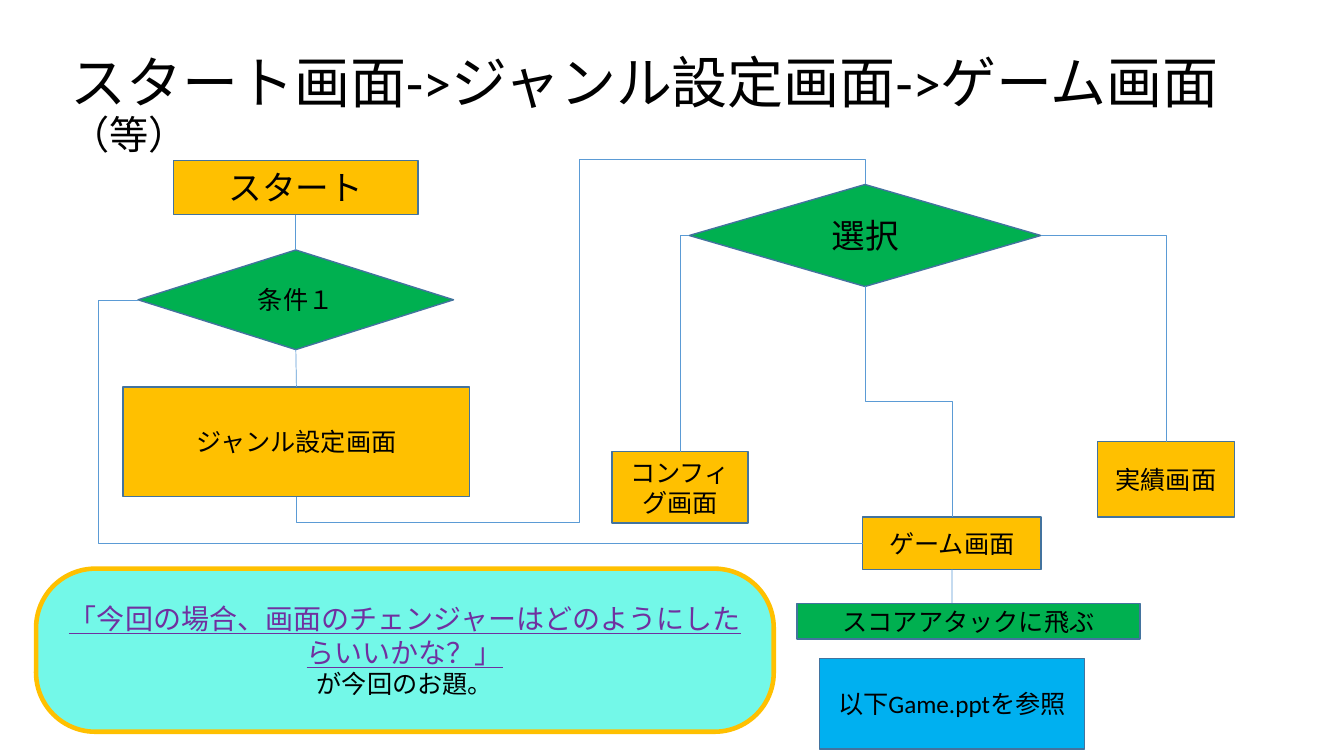
from lxml import etree
from pptx import Presentation
from pptx.dml.color import RGBColor
from pptx.enum.shapes import MSO_CONNECTOR as LINK, MSO_SHAPE as SHAPE
from pptx.enum.text import MSO_ANCHOR as ANCHOR, MSO_AUTO_SIZE as FIT, PP_ALIGN as ALIGN
from pptx.oxml.ns import qn
from pptx.util import Cm, Pt

BLACK = RGBColor(0x00, 0x00, 0x00)
PURPLE = RGBColor(0x70, 0x30, 0xA0)
GREEN = RGBColor(0x00, 0xB0, 0x50)
AMBER = RGBColor(0xFF, 0xC0, 0x00)
SKY = RGBColor(0x00, 0xB0, 0xF0)
AQUA = RGBColor(0x2B, 0xF5, 0xDD)
OUTLINE = RGBColor(0x43, 0x73, 0x9E)
LINE = RGBColor(0x5B, 0x9B, 0xD5)
TOP, LEFT, BOTTOM, RIGHT = range(4)


class FlowSlide:
    """Draws the parts of a screen flow on one slide in a shared style."""

    font = "Calibri"

    def __init__(self, presentation):
        self.slide = presentation.slides.add_slide(presentation.slide_layouts[5])
        self.shapes = self.slide.shapes

    def style(self, paragraph, size, color=BLACK, underline=None, align=ALIGN.CENTER):
        paragraph.alignment = align
        font = paragraph.font
        font.name, font.size, font.underline = self.font, Pt(size), underline
        font.color.rgb = color

    def title(self, box, main, suffix):
        title = self.shapes.title
        title.left, title.top, title.width, title.height = map(Cm, box)
        frame = title.text_frame
        frame.auto_size, frame.vertical_anchor = FIT.NONE, ANCHOR.MIDDLE
        paragraph = frame.paragraphs[0]
        paragraph.line_spacing = 0.9
        self.style(paragraph, 40, align=ALIGN.LEFT)
        paragraph.add_run().text = main
        run = paragraph.add_run()
        run.text, run.font.size = suffix, Pt(28)

    def node(self, box, text, fill=AMBER, size=18, kind=SHAPE.RECTANGLE):
        shape = self.shapes.add_shape(kind, *map(Cm, box))
        shape.shadow.inherit = False
        shape.fill.solid()
        shape.fill.fore_color.rgb = fill
        shape.line.color.rgb, shape.line.width = OUTLINE, Pt(1)
        frame = shape.text_frame
        frame.word_wrap, frame.vertical_anchor = True, ANCHOR.MIDDLE
        frame.text = text
        for paragraph in frame.paragraphs:
            self.style(paragraph, size)
        return shape

    def decision(self, box, text, size):
        return self.node(box, text, GREEN, size, SHAPE.FLOWCHART_DECISION)

    def topic(self, box, question, remark):
        shape = self.node(box, f"{question}\n{remark}", AQUA, 18, SHAPE.ROUNDED_RECTANGLE)
        shape.adjustments[0] = 0.363
        shape.line.color.rgb, shape.line.width = AMBER, Pt(3.25)
        color = shape.fill._xPr.find(qn("a:solidFill"))[0]
        etree.SubElement(color, qn("a:alpha")).set("val", "66000")
        self.style(shape.text_frame.paragraphs[0], 20, PURPLE, True)

    def line(self, start, start_side, end=None, end_side=TOP, kind=LINK.STRAIGHT, free_end=(0, 0)):
        connector = self.shapes.add_connector(kind, 0, 0, *map(Cm, free_end))
        connector.line.color.rgb, connector.line.width = LINE, Pt(0.5)
        etree.SubElement(connector._element.spPr, qn("a:effectLst"))
        connector.begin_connect(start, start_side)
        if end is not None:
            connector.end_connect(end, end_side)
        return connector

    def elbow(self, start, start_side, end, end_side, preset, turn=0, flips="", adjust=()):
        connector = self.line(start, start_side, end, end_side, LINK.ELBOW)
        center_x = (connector.begin_x + connector.end_x) // 2
        center_y = (connector.begin_y + connector.end_y) // 2
        width, height = connector.width, connector.height
        if turn % 180:
            width, height = height, width
        connector.left, connector.top = center_x - width // 2, center_y - height // 2
        connector.width, connector.height = width, height
        properties = connector._element.spPr
        frame = properties.find(qn("a:xfrm"))
        frame.set("rot", str(turn * 60000))
        frame.set("flipH", str(int("h" in flips)))
        frame.set("flipV", str(int("v" in flips)))
        geometry = properties.find(qn("a:prstGeom"))
        geometry.set("prst", preset)
        values = geometry.find(qn("a:avLst"))
        for number, value in enumerate(adjust, 1):
            name = f"adj{number}" if len(adjust) > 1 or preset != "bentConnector3" else "adj1"
            guide = etree.SubElement(values, qn("a:gd"))
            guide.set("name", name)
            guide.set("fmla", f"val {round(value * 100000)}")


def main():
    presentation = Presentation()
    presentation.slide_width, presentation.slide_height = Cm(33.87), Cm(19.05)
    flow = FlowSlide(presentation)
    flow.title((1.52, 1.02, 30.45, 3.35), "スタート画面->ジャンル設定画面->ゲーム画面", "（等）")

    condition = flow.decision((3.48, 6.3, 7.95, 2.51), "条件１", 18)
    start = flow.node((4.37, 4.04, 6.17, 1.37), "スタート", size=24)
    genre = flow.node((3.1, 9.75, 8.74, 2.77), "ジャンル設定画面")
    choice = flow.decision((17.37, 4.65, 8.86, 2.57), "選択", 24)
    game = flow.node((21.74, 13.03, 4.5, 1.32), "ゲーム画面")
    config = flow.node((15.42, 11.38, 3.43, 1.8), "コンフィグ画面")
    records = flow.node((27.66, 11.13, 3.45, 1.9), "実績画面")

    flow.line(start, BOTTOM, condition)
    flow.line(condition, BOTTOM, genre)
    flow.line(game, BOTTOM, free_end=(23.99, 15.85))
    flow.elbow(genre, BOTTOM, choice, TOP, "bentConnector5", 90, "hv", (-0.081, 0.498, 1.081))
    flow.elbow(choice, BOTTOM, game, TOP, "bentConnector3", 270, "h")
    flow.elbow(choice, LEFT, config, TOP, "bentConnector2", 180, "v")
    flow.elbow(choice, RIGHT, records, TOP, "bentConnector2")
    flow.elbow(condition, LEFT, game, LEFT, "bentConnector3", 180, "hv", (-0.055,))

    flow.node((20.65, 16.59, 6.68, 2.29), "以下Game.pptを参照", SKY)
    flow.topic((0.91, 14.33, 18.59, 4.11),
               "「今回の場合、画面のチェンジャーはどのようにしたらいいかな？」", "が今回のお題。")
    flow.node((20.09, 15.21, 8.64, 0.89), "スコアアタックに飛ぶ", GREEN)
    presentation.save("out.pptx")


if __name__ == "__main__":
    main()
